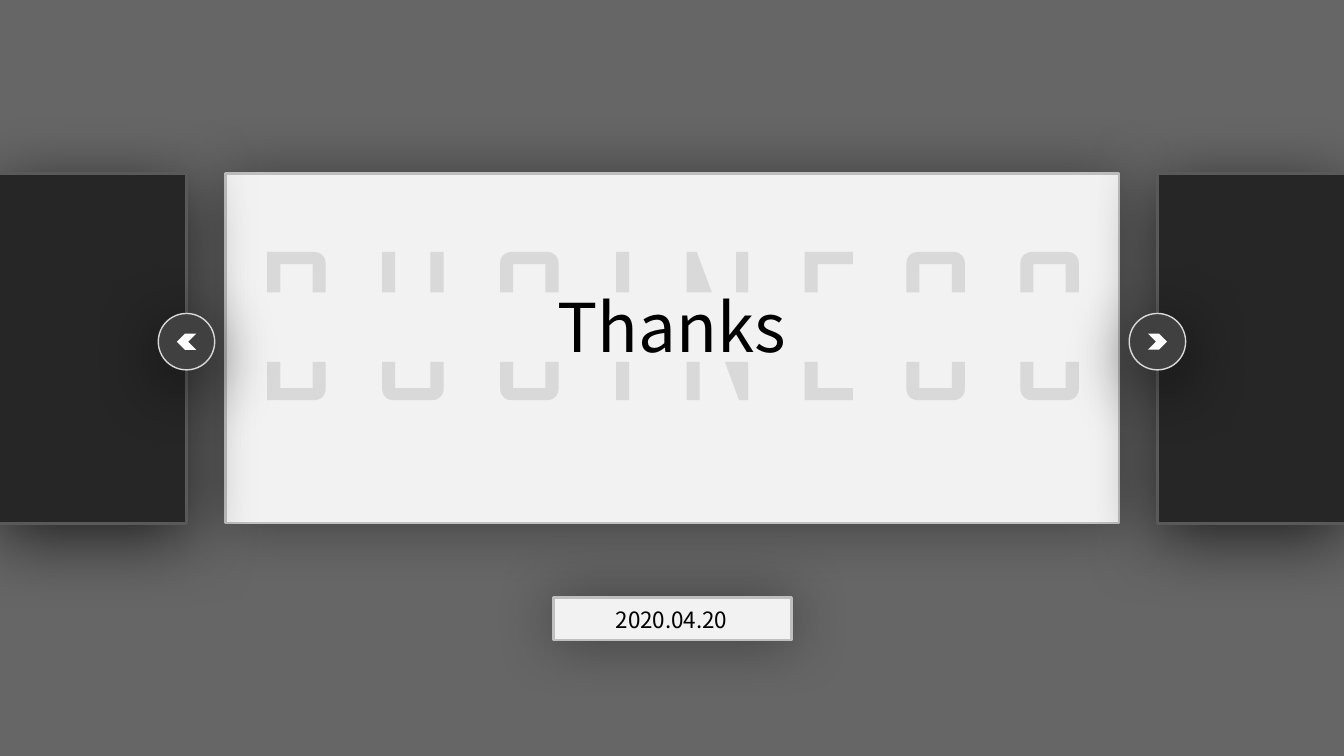
from math import cos, pi, sin

from lxml.etree import SubElement
from pptx import Presentation
from pptx.dml.color import RGBColor
from pptx.enum.shapes import MSO_SHAPE as Shape
from pptx.enum.text import MSO_ANCHOR as Anchor, MSO_AUTO_SIZE as AutoSize, PP_ALIGN as Align
from pptx.oxml.ns import qn
from pptx.util import Inches, Pt

FONT = "Noto Sans CJK SC"
COLORS = {
    "dark": "262626", "badge": "404040", "edge": "595959", "silver": "BFBFBF",
    "letter": "D9D9D9", "paper": "F2F2F2", "white": "FFFFFF", "black": "000000",
}
SOFT = dict(alpha=40, blur=44, distance=0, angle=0)
DEEP = dict(alpha=66, blur=50, distance=10, angle=90)
STROKE, BAR, RADIUS = 0.13, 0.12, 0.11
HALVES = [(0, 0.4), (1.47, 1.09)]


def color(name):
    return RGBColor.from_string(COLORS[name])


def style(shape, fill, line=None, width=2, shadow=None):
    shape.shadow.inherit = False
    shape.fill.solid()
    shape.fill.fore_color.rgb = color(fill)
    if line:
        shape.line.color.rgb = color(line)
        shape.line.width = Pt(width)
    else:
        shape.line.fill.background()
    if shadow:
        effects = shape.element.spPr.find(qn("a:effectLst"))
        outer = SubElement(effects, qn("a:outerShdw"), {
            "blurRad": str(Pt(shadow["blur"])), "dist": str(Pt(shadow["distance"])),
            "dir": str(shadow["angle"] * 60000), "algn": "ctr", "rotWithShape": "0",
        })
        tint = SubElement(outer, qn("a:srgbClr"), val=COLORS["black"])
        SubElement(tint, qn("a:alpha"), val=str(shadow["alpha"] * 1000))


def add_preset(shapes, kind, box, fill, **look):
    shape = shapes.add_shape(kind, *map(Inches, box))
    style(shape, fill, **look)
    return shape


def add_outline(page, contours, close=True):
    contours = [[(Inches(x), Inches(y)) for x, y in points] for points in contours]
    builder = page.shapes.build_freeform(*contours[0][0], scale=1.0)
    for index, points in enumerate(contours):
        if index:
            builder.move_to(*points[0])
        builder.add_line_segments(points[1:], close=close)
    return builder.convert_to_shape()


def set_text(box, text, size, wrap):
    frame = box.text_frame
    frame.text = text
    frame.word_wrap = wrap
    frame.auto_size = AutoSize.NONE
    frame.vertical_anchor = Anchor.MIDDLE
    para = frame.paragraphs[0]
    para.alignment = Align.CENTER
    span = para.runs[0]
    span.font.name = FONT
    span.font.size = Pt(size)
    span.font.color.rgb = color("black")


def corner(x, edge, side, inward):
    center_x, center_y = x - side * RADIUS, edge + inward * RADIUS
    angles = [step * pi / 12 for step in range(7)]
    return [(center_x + side * RADIUS * cos(angle), center_y - inward * RADIUS * sin(angle))
            for angle in angles]


def stem(x, edge, cut, width=STROKE):
    return [(x, cut), (x, edge), (x + width, edge), (x + width, cut)]


def arch(x, width, edge, cut, round_left=True):
    inward = 1 if cut > edge else -1
    right, bar = x + width, edge + inward * BAR
    left_corner = corner(x, edge, -1, inward) if round_left else [(x, edge)]
    return [(x, cut), *left_corner, *reversed(corner(right, edge, 1, inward)), (right, cut),
            (right - STROKE, cut), (right - STROKE, bar), (x + STROKE, bar), (x + STROKE, cut)]


def hook(x, width, edge, cut):
    bar = edge + (BAR if cut > edge else -BAR)
    return [(x, cut), (x, edge), (x + width, edge), (x + width, bar),
            (x + STROKE, bar), (x + STROKE, cut)]


def add_split_word(page, left, top):
    (upper, upper_cut), (lower, lower_cut) = HALVES
    contours = [
        stem(1.14, upper, upper_cut),
        stem(1.62, upper, upper_cut),
        arch(1.14, 0.61, lower, lower_cut),
        [(4.16, upper_cut), (4.16, upper), (4.26, upper), (4.41, upper_cut)],
        stem(4.65, upper, upper_cut, 0.12),
        stem(4.16, lower, lower_cut),
        [(4.54, lower_cut), (4.77, lower_cut), (4.77, lower), (4.68, lower)],
    ]
    for edge, cut in HALVES:
        contours.append(arch(0, 0.58, edge, cut, round_left=False))
        contours.append(stem(3.46, edge, cut))
        contours.append(hook(5.33, 0.48, edge, cut))
        contours += [arch(x, 0.58, edge, cut) for x in (2.31, 6.34, 7.47)]
    word = add_outline(page, [[(left + x, top + y) for x, y in points] for points in contours])
    style(word, "letter")


def add_backdrop(page, box):
    backdrop = add_preset(page.shapes, Shape.RECTANGLE, box, "dark")
    tint = backdrop.element.spPr.find(qn("a:solidFill"))[0]
    SubElement(tint, qn("a:alpha"), val="70000")


def add_main_panel(page, left, top, width, height):
    add_preset(page.shapes, Shape.RECTANGLE, (left, top, width, height), "paper",
               line="silver", shadow=SOFT)
    add_split_word(page, left + 0.41, top + 0.78)


def add_side_panel(page, outer, inner, top, height):
    bottom = top + height
    points = [(outer, top), (inner, top), (inner, bottom), (outer, bottom)]
    panel = add_outline(page, [points], close=False)
    style(panel, "dark", line="edge", shadow=DEEP)


def add_arrow_badge(page, left, top, size, rotation):
    badge = page.shapes.add_group_shape()
    add_preset(badge.shapes, Shape.OVAL, (left, top, size, size), "badge",
               line="letter", width=1, shadow=DEEP)
    width, height = 0.19, 0.16
    box = (left + (size - width) / 2, top + (size - height) / 2, width, height)
    add_preset(badge.shapes, Shape.CHEVRON, box, "white").rotation = rotation


def add_title(page, box):
    title = page.shapes.title
    title.left, title.top, title.width, title.height = map(Inches, box)
    set_text(title, "Thanks", 48, True)
    title.element.getparent().append(title.element)


def add_date(page, left, top, width, height):
    add_preset(page.shapes, Shape.RECTANGLE, (left, top, width, height), "paper",
               line="silver", shadow=SOFT)
    text_box = (left + 0.51, top + 0.03, 1.32, 0.37)
    set_text(page.shapes.add_textbox(*map(Inches, text_box)), "2020.04.20", 16, False)


def main():
    deck = Presentation()
    deck.slide_width, deck.slide_height = Inches(13.33), Inches(7.5)
    page = deck.slides.add_slide(deck.slide_layouts[5])
    add_backdrop(page, (0, 0, 13.33, 7.5))
    add_main_panel(page, 2.24, 1.72, 8.86, 3.47)
    for outer, inner in ((0, 1.85), (13.33, 11.48)):
        add_side_panel(page, outer, inner, 1.72, 3.47)
    for left, rotation in ((1.57, 180), (11.2, 0)):
        add_arrow_badge(page, left, 3.11, 0.56, rotation)
    add_title(page, (2.76, 2.78, 7.81, 0.91))
    add_date(page, 5.49, 5.93, 2.36, 0.42)
    deck.save("out.pptx")


if __name__ == "__main__":
    main()
